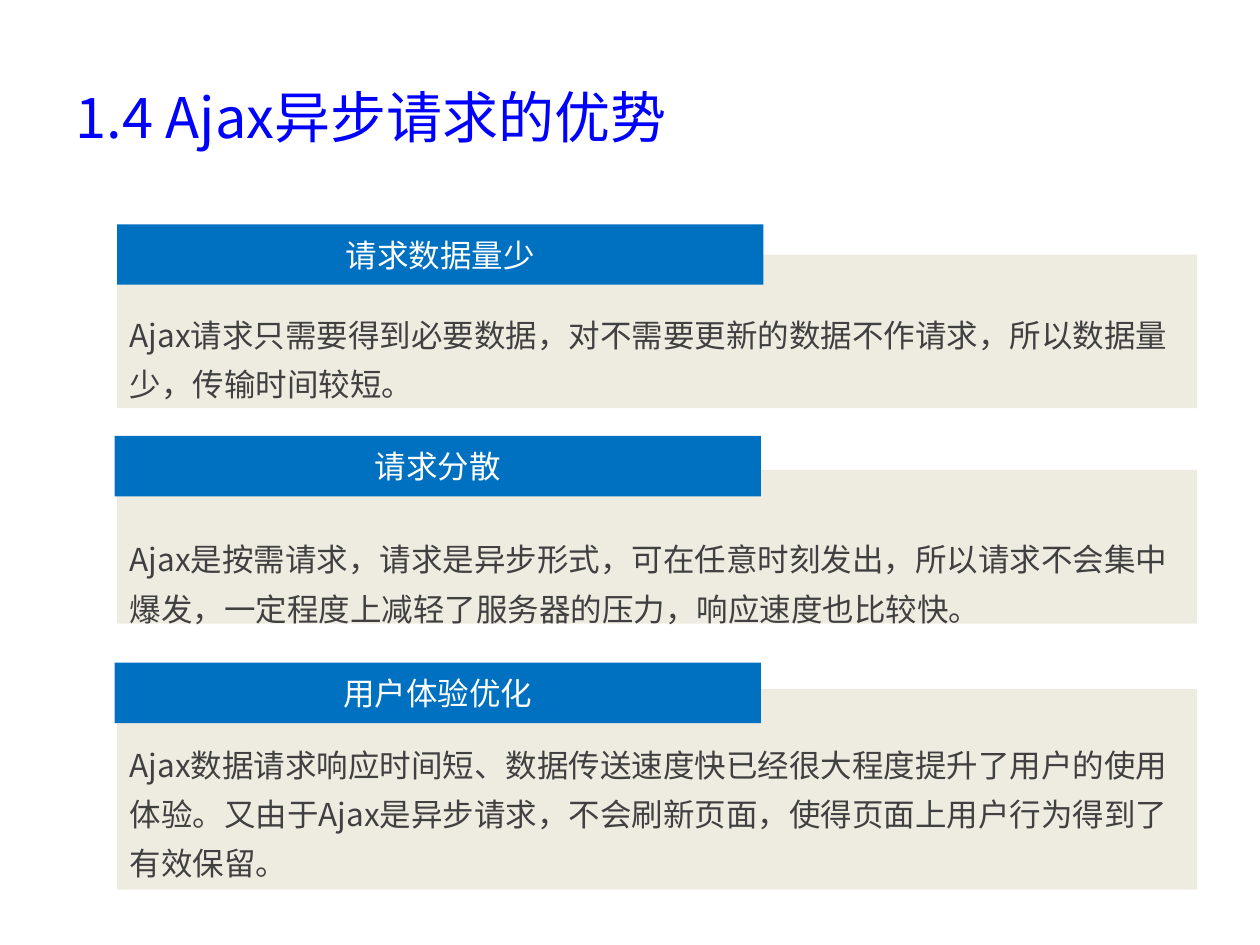
from lxml import etree
from pptx import Presentation
from pptx import util as u
from pptx.dml import color
from pptx.enum import shapes, text
from pptx.oxml import ns

FONT = "Noto Sans CJK SC"
ADVANTAGES = [
    {"heading": "请求数据量少",
     "body": "Ajax请求只需要得到必要数据，对不需要更新的数据不作请求，所以数据量少，传输时间较短。",
     "panel": (0.93, 2.02, 8.57, 1.22),
     "banner": (0.93, 1.78),
     "copy": (0.93, 2.37, 8.57, 0.89)},
    {"heading": "请求分散",
     "body": "Ajax是按需请求，请求是异步形式，可在任意时刻发出，所以请求不会集中爆发，"
             "一定程度上减轻了服务器的压力，响应速度也比较快。",
     "panel": (0.93, 3.73, 8.57, 1.22),
     "banner": (0.91, 3.46),
     "copy": (0.93, 4.15, 8.57, 0.89)},
    {"heading": "用户体验优化",
     "body": "Ajax数据请求响应时间短、数据传送速度快已经很大程度提升了用户的使用体验。"
             "又由于Ajax是异步请求，不会刷新页面，使得页面上用户行为得到了有效保留。",
     "panel": (0.93, 5.47, 8.57, 1.59),
     "banner": (0.91, 5.26),
     "copy": (0.93, 5.78, 8.48, 1.28)},
]
BANNER_SIZE = (5.13, 0.48)


def rgb(value):
    return color.RGBColor.from_string(value)


def apply(target, values):
    for name, value in values.items():
        setattr(target, name, value)


def write(box, words, size, ink, frame_format, para_format):
    apply(box.text_frame, {"word_wrap": True, **frame_format})
    para = box.text_frame.paragraphs[0]
    apply(para, para_format)
    span = para.add_run()
    span.text = words
    apply(span.font, {"size": u.Pt(size), "name": FONT})
    span.font.color.rgb = rgb(ink)
    east_asian = etree.SubElement(span.font._element, ns.qn("a:ea"))
    east_asian.set("typeface", FONT)


def add_block(page, place, fill):
    block = page.shapes.add_shape(shapes.MSO_SHAPE.RECTANGLE, *map(u.Inches, place))
    block.shadow.inherit = False
    block.fill.solid()
    block.fill.fore_color.rgb = rgb(fill)
    block.line.fill.background()
    return block


def add_text(page, place, words, size, ink, frame_format, para_format):
    box = page.shapes.add_textbox(*map(u.Inches, place))
    write(box, words, size, ink, frame_format, para_format)


def add_advantage(page, item):
    add_block(page, item["panel"], "EEECE1")
    banner = add_block(page, item["banner"] + BANNER_SIZE, "0070C0")
    write(banner, item["heading"], 18, "FFFFFF",
          {"vertical_anchor": text.MSO_ANCHOR.MIDDLE},
          {"alignment": text.PP_ALIGN.CENTER})
    add_text(page, item["copy"], item["body"], 18, "404040",
             {"auto_size": text.MSO_AUTO_SIZE.SHAPE_TO_FIT_TEXT},
             {"line_spacing": 1.3})


def main():
    deck = Presentation()
    apply(deck, {"slide_width": u.Inches(10), "slide_height": u.Inches(7.5)})
    page = deck.slides.add_slide(deck.slide_layouts[6])
    add_text(page, (0.5, 0.3, 9, 1.25), "1.4 Ajax异步请求的优势", 32, "0000FF",
             {"vertical_anchor": text.MSO_ANCHOR.MIDDLE}, {})
    for item in ADVANTAGES:
        add_advantage(page, item)
    deck.save("out.pptx")


main()
